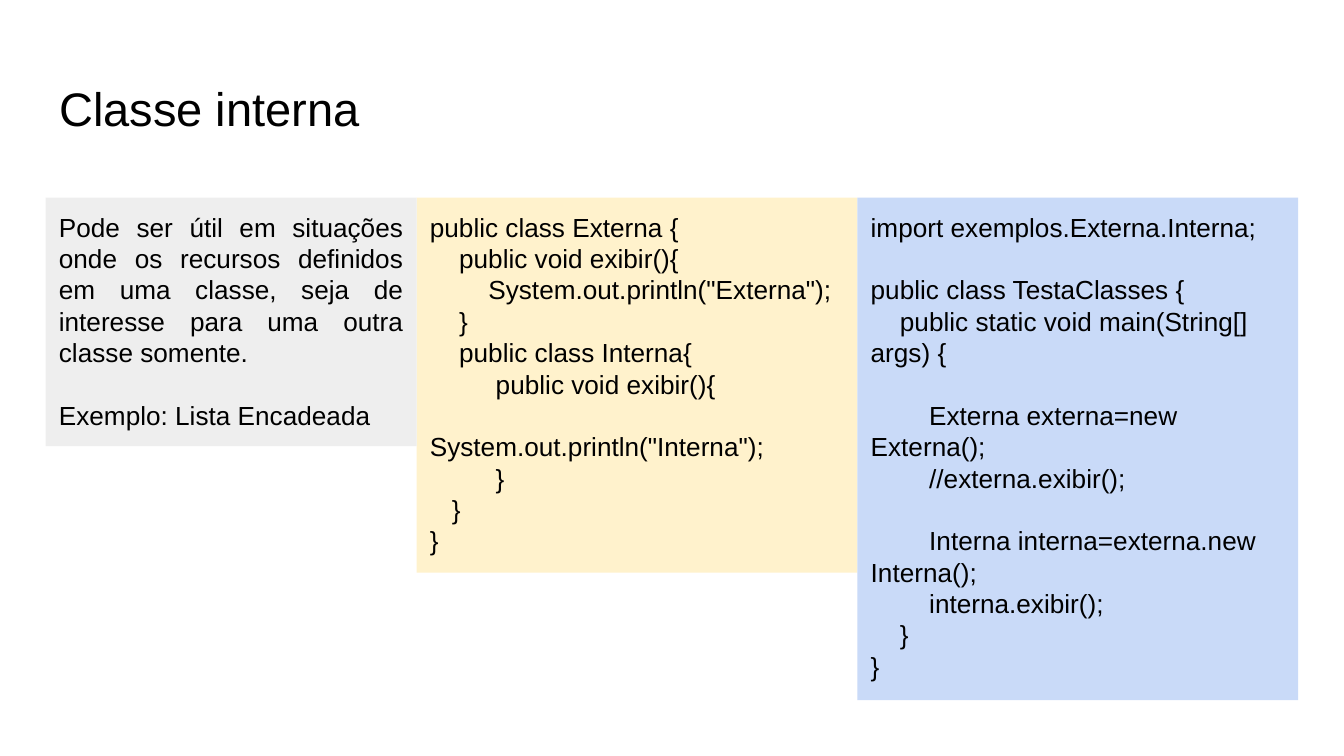
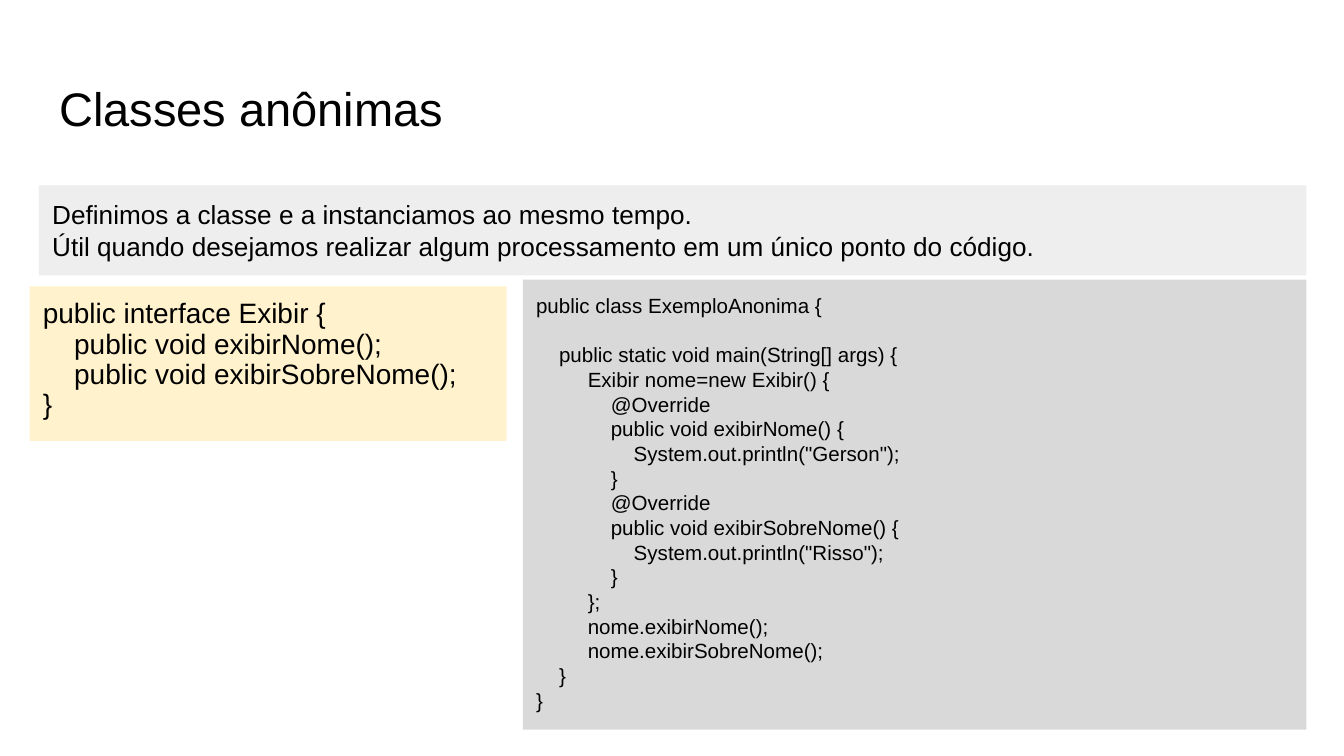
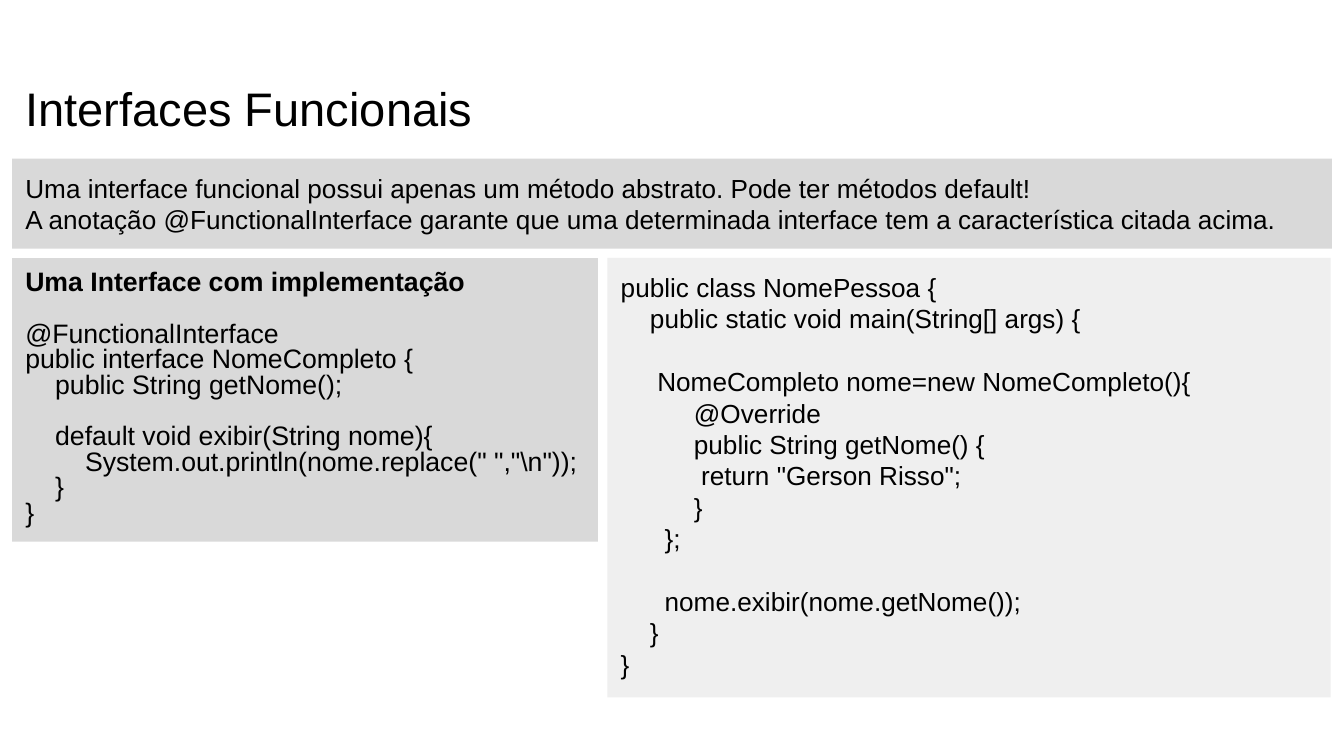
from pptx import Presentation, util as u
from pptx.dml.color import RGBColor
from pptx.enum import shapes, text

BLACK = RGBColor(0x00, 0x00, 0x00)
PALE = RGBColor(0xEE, 0xEE, 0xEE)
SMOKE = RGBColor(0xEF, 0xEF, 0xEF)
GRAY = RGBColor(0xD9, 0xD9, 0xD9)
YELLOW = RGBColor(0xFF, 0xF2, 0xCC)
BLUE = RGBColor(0xC9, 0xDA, 0xF8)

FONT = "Arial"
WIDTH = 10
HEIGHT = WIDTH * 9 / 16
MARGIN = 0.34
INSET = 0.1
TITLE_TOP, TITLE_HEIGHT, TITLE_SIZE = 0.49, 0.63, 25.2
SPACE_WIDTH = 0.28  # share of the font size
LINE_HEIGHT = 1.2   # share of the font size

# Content: leading spaces give the indent, empty lines give a gap
PURPOSE = """
Pode ser útil em situações onde os recursos definidos em uma classe, seja de interesse para uma outra classe somente.

Exemplo: Lista Encadeada
"""
OUTER_CLASS = """
public class Externa {
    public void exibir(){
        System.out.println("Externa");
    }
    public class Interna{
         public void exibir(){

System.out.println("Interna");
         }
   }
}
"""
INNER_TEST = """
import exemplos.Externa.Interna;

public class TestaClasses {
    public static void main(String[] args) {

        Externa externa=new Externa();
        //externa.exibir();

        Interna interna=externa.new Interna();
        interna.exibir();
    }
}
"""
ANONYMOUS_NOTE = """
Definimos a classe e a instanciamos ao mesmo tempo.
Útil quando desejamos realizar algum processamento em um único ponto do código.
"""
SHOW_INTERFACE = """
public interface Exibir {
    public void exibirNome();
    public void exibirSobreNome();
}
"""
ANONYMOUS_CLASS = """
public class ExemploAnonima {

    public static void main(String[] args) {
         Exibir nome=new Exibir() {
             @Override
             public void exibirNome() {
                 System.out.println("Gerson");
             }
             @Override
             public void exibirSobreNome() {
                 System.out.println("Risso");
             }
         };
         nome.exibirNome();
         nome.exibirSobreNome();
    }
}
"""
FUNCTIONAL_NOTE = """
Uma interface funcional possui apenas um método abstrato. Pode ter métodos default!
A anotação @FunctionalInterface garante que uma determinada interface tem a característica citada acima.
"""
FUNCTIONAL_INTERFACE = r"""
Uma Interface com implementação

@FunctionalInterface
public interface NomeCompleto {
    public String getNome();

    default void exibir(String nome){
        System.out.println(nome.replace(" ","\n"));
    }
}
"""
PERSON_CLASS = """
public class NomePessoa {
    public static void main(String[] args) {

     NomeCompleto nome=new NomeCompleto(){
          @Override
          public String getNome() {
           return "Gerson Risso";
          }
      };

      nome.exibir(nome.getNome());
    }
}
"""

# Columns of the first slide: one narrow, two equal
NOTE_WIDTH, CODE_WIDTH = 2.76, 3.28
CODE_LEFT = MARGIN + NOTE_WIDTH

# Each panel: text, (left, top, width, height), fill, format changes
SLIDES = [
    ("Classe interna", MARGIN, [
        (OUTER_CLASS, (CODE_LEFT, 1.47, CODE_WIDTH, 2.79), YELLOW, {}),
        (INNER_TEST, (CODE_LEFT + CODE_WIDTH, 1.47, CODE_WIDTH, 3.74), BLUE, {}),
        (PURPOSE, (MARGIN, 1.47, NOTE_WIDTH, 1.85), PALE, {"justify_first": True}),
    ]),
    ("Classes anônimas", MARGIN, [
        (SHOW_INTERFACE, (0.22, 2.13, 3.55, 1.15), YELLOW, {"size": 15, "spacing": 0.9}),
        (ANONYMOUS_CLASS, (3.89, 2.08, 5.83, 3.35), GRAY, {"size": 11}),
        (ANONYMOUS_NOTE, (0.29, 1.38, 9.43, 0.67), PALE, {}),
    ]),
    ("Interfaces Funcionais", 0.09, [
        (FUNCTIONAL_INTERFACE, (0.09, 1.92, 4.36, 2.11), GRAY,
         {"size": 14.3, "spacing": 0.8, "bold_first": True}),
        (PERSON_CLASS, (4.52, 1.92, 5.38, 3.27), SMOKE, {}),
        (FUNCTIONAL_NOTE, (0.09, 1.18, 9.82, 0.67), GRAY, {}),
    ]),
]


def set_values(target, values):
    for name, value in values.items():
        setattr(target, name, value)


def format_frame(frame, anchor):
    set_values(frame, {"word_wrap": True, "auto_size": text.MSO_AUTO_SIZE.NONE,
                       "vertical_anchor": anchor})
    for side in ("left", "top", "right", "bottom"):
        setattr(frame, f"margin_{side}", u.Inches(INSET))


def format_paragraph(paragraph, size, bold=False, align=text.PP_ALIGN.LEFT):
    paragraph.alignment = align
    for run in paragraph.runs:
        set_values(run.font, {"name": FONT, "size": u.Pt(size), "bold": bold})
        run.font.color.rgb = BLACK


def add_title(slide, words, left):
    title = slide.shapes.title
    set_values(title, {"left": u.Inches(left), "top": u.Inches(TITLE_TOP),
                       "width": u.Inches(WIDTH - MARGIN - left),
                       "height": u.Inches(TITLE_HEIGHT)})
    title.text_frame.text = words
    format_frame(title.text_frame, text.MSO_ANCHOR.MIDDLE)
    format_paragraph(title.text_frame.paragraphs[0], TITLE_SIZE)


def add_panel(slide, content, box, fill, size=14, spacing=1.0,
              bold_first=False, justify_first=False):
    panel = slide.shapes.add_shape(shapes.MSO_SHAPE.RECTANGLE, *map(u.Inches, box))
    panel.shadow.inherit = False
    panel.fill.solid()
    panel.fill.fore_color.rgb = fill
    panel.line.fill.background()
    frame = panel.text_frame
    format_frame(frame, text.MSO_ANCHOR.TOP)

    gap, first = 0, True
    for line in content.strip().split("\n"):
        if not line:
            gap += size * LINE_HEIGHT * spacing
            continue
        paragraph = frame.paragraphs[0] if first else frame.add_paragraph()
        words = line.lstrip()
        paragraph.text = words
        justified = first and justify_first
        format_paragraph(paragraph, size, first and bold_first,
                         text.PP_ALIGN.JUSTIFY if justified else text.PP_ALIGN.LEFT)
        set_values(paragraph, {"line_spacing": spacing, "space_before": u.Pt(gap)})
        # Only the first line is indented; wrapped lines return to the edge
        indent = u.Pt((len(line) - len(words)) * SPACE_WIDTH * size)
        paragraph._p.get_or_add_pPr().set("indent", str(indent))
        gap, first = 0, False


def main():
    presentation = Presentation()
    presentation.slide_width = u.Inches(WIDTH)
    presentation.slide_height = u.Inches(HEIGHT)
    title_only = presentation.slide_layouts[5]
    for words, title_left, panels in SLIDES:
        slide = presentation.slides.add_slide(title_only)
        add_title(slide, words, title_left)
        for content, box, fill, changes in panels:
            add_panel(slide, content, box, fill, **changes)
    presentation.save("out.pptx")


if __name__ == "__main__":
    main()
